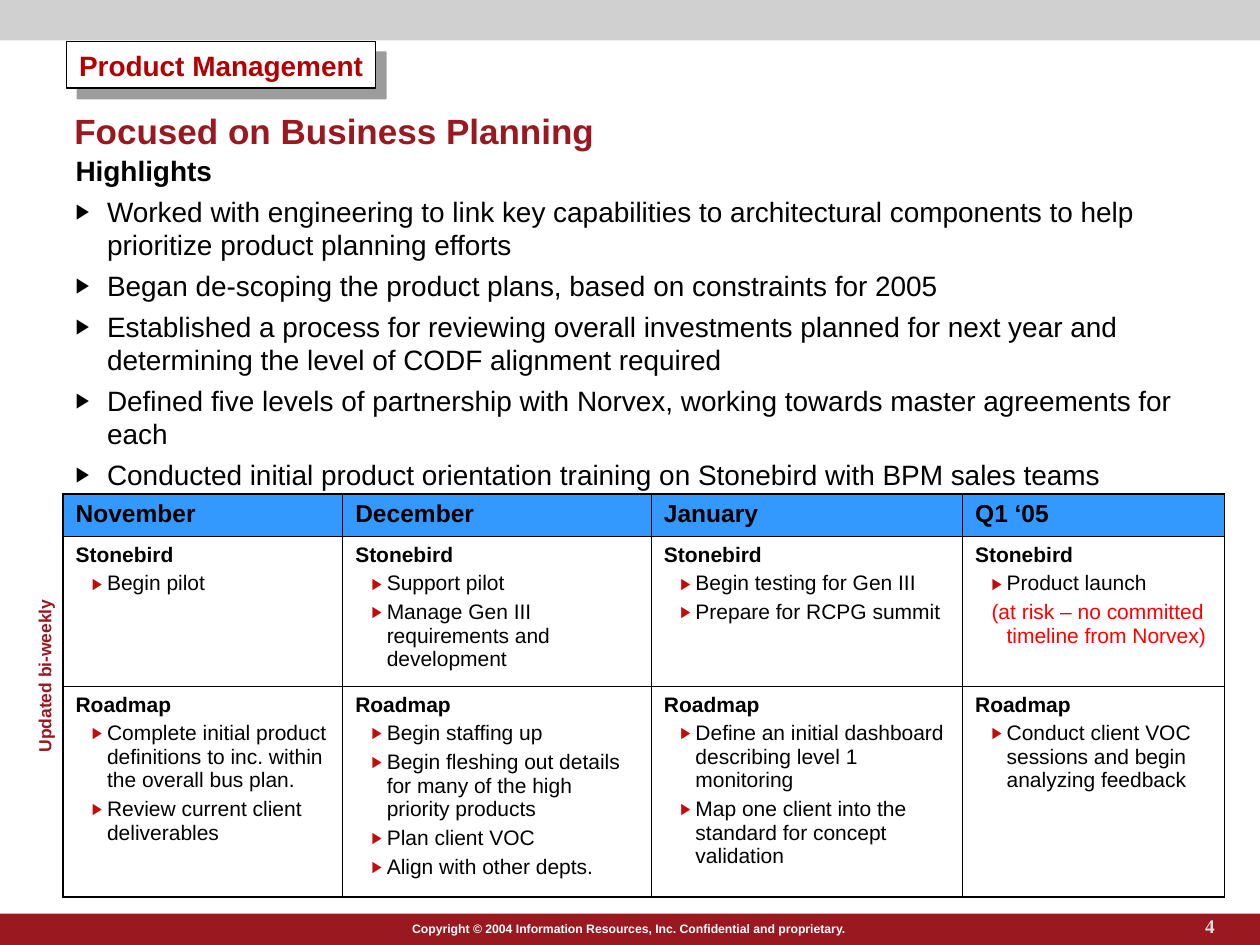
"""Build the product management status slide."""
from lxml.etree import SubElement as Sub
from pptx import Presentation
from pptx.dml.color import RGBColor as RGB
from pptx.enum.shapes import MSO_SHAPE as Shape
from pptx.enum.text import MSO_ANCHOR as Anchor, MSO_AUTO_SIZE as Fit, PP_ALIGN as Align
from pptx.oxml.ns import qn
from pptx.util import Inches, Pt

COLS, ROWS = 100, 75
UNIT = Inches(0.1)
HUES = {
    "white": "FFFFFF", "black": "000000", "wine": "9A1820", "band": "D0D0D0",
    "tag": "B30000", "head": "3399FF", "mark": "C00D0C", "risk": "FF0000",
    "shade": "3A3A3A", "page": "DDDDDD",
}
POINTS = [
    "Worked with engineering to link key capabilities to architectural components to help prioritize product planning efforts",
    "Began de-scoping the product plans, based on constraints for 2005",
    "Established a process for reviewing overall investments planned for next year and determining the level of CODF alignment required",
    "Defined five levels of partnership with Norvex, working towards master agreements for each",
    "Conducted initial product orientation training on Stonebird with BPM sales teams",
]
MONTHS = ["November", "December", "January", "Q1 ‘05"]
RISK = "(at risk – no committed timeline from Norvex)"
PLANS = {
    "Stonebird": [
        ["Begin pilot"],
        ["Support pilot", "Manage Gen III requirements and development"],
        ["Begin testing for Gen III", "Prepare for RCPG summit"],
        ["Product launch", RISK],
    ],
    "Roadmap": [
        ["Complete initial product definitions to inc. within the overall bus plan.",
         "Review current client deliverables"],
        ["Begin staffing up",
         "Begin fleshing out details for many of the high priority products",
         "Plan client VOC", "Align with other depts."],
        ["Define an initial dashboard describing level 1 monitoring",
         "Map one client into the standard for concept validation"],
        ["Conduct client VOC sessions and begin analyzing feedback"],
    ],
}
WIDTHS = [22.2, 24.5, 24.7, 20.8]
HEIGHTS = [3.4, 11.9, 16.7]


def grid(*spans):
    """Turn grid columns and rows into lengths."""
    return [round(span * UNIT) for span in spans]


def move(shape, box):
    """Place a shape on the grid."""
    shape.left, shape.top, shape.width, shape.height = grid(*box)


def style(para, text, size, hue="black", bold=False, face="Arial", align=Align.LEFT):
    """Write a paragraph and set its font."""
    para.text = text
    para.alignment = align
    font = para.font
    font.name, font.size, font.bold = face, Pt(size), bold
    font.color.rgb = RGB.from_string(HUES[hue])


def indent(para, hang, mark=None):
    """Give a paragraph a hanging indent and maybe a bullet."""
    props = para._p.get_or_add_pPr()
    props.set("marL", str(Inches(0.25)))
    props.set("indent", str(-Inches(hang)))
    if mark is None:
        Sub(props, qn("a:buNone"))
        return
    Sub(Sub(props, qn("a:buClr")), qn("a:srgbClr"), val=HUES[mark])
    Sub(props, qn("a:buSzPct"), val="75000")
    Sub(props, qn("a:buFont"), typeface="Arial")
    Sub(props, qn("a:buChar"), char="▶")


def block(slide, box, hue, line=None):
    """Add a plain filled rectangle."""
    shape = slide.shapes.add_shape(Shape.RECTANGLE, *grid(*box))
    shape.shadow.inherit = False
    shape.fill.solid()
    shape.fill.fore_color.rgb = RGB.from_string(HUES[hue])
    if line:
        shape.line.color.rgb = RGB.from_string(HUES[line])
        shape.line.width = Pt(0.75)
    else:
        shape.line.fill.background()
    return shape


def label(slide, box, *args, wrap=True, turn=0, **more):
    """Add a one-line text box."""
    shape = slide.shapes.add_textbox(*grid(*box))
    shape.rotation = turn
    shape.text_frame.word_wrap = wrap
    style(shape.text_frame.paragraphs[0], *args, **more)


def badge(slide, box, text):
    """Add the framed section tag with its hard shadow."""
    shape = block(slide, box, "white", "black")
    shape.text_frame.word_wrap = False
    style(shape.text_frame.paragraphs[0], text, 16, "tag", True)
    effects = shape._element.spPr.find(qn("a:effectLst"))
    shade = Sub(effects, qn("a:outerShdw"), dist=str(Pt(8.5)), dir="2700000",
                algn="ctr", rotWithShape="0")
    tint = Sub(shade, qn("a:srgbClr"), val=HUES["shade"])
    Sub(tint, qn("a:alpha"), val="50000")


def title(slide, box, text):
    """Fill the title placeholder."""
    shape = slide.shapes.title
    move(shape, box)
    shape.text_frame.vertical_anchor = Anchor.BOTTOM
    shape.text_frame.auto_size = Fit.NONE
    style(shape.text_frame.paragraphs[0], text, 20, "wine", True)


def body(slide, box, head, points):
    """Fill the body placeholder with a heading and bullets."""
    shape = slide.placeholders[1]
    move(shape, box)
    frame = shape.text_frame
    frame.auto_size = Fit.NONE
    for row, text in enumerate([head, *points]):
        para = frame.add_paragraph() if row else frame.paragraphs[0]
        indent(para, 0.25, "black" if row else None)
        para.space_before = Pt(4 if row else 0)
        para.line_spacing = 1.0
        style(para, text, 16, bold=not row)


def edge(cell, row, col):
    """Draw thick outer and thin inner cell borders."""
    outer = {"L": col == 0, "R": col == len(WIDTHS) - 1,
             "T": row == 0, "B": row == len(HEIGHTS) - 1}
    props = cell._tc.get_or_add_tcPr()
    for side, thick in outer.items():
        line = Sub(props, qn(f"a:ln{side}"), w=str(Pt(1.08 if thick else 0.45)))
        Sub(Sub(line, qn("a:solidFill")), qn("a:srgbClr"), val=HUES["black"])


def fill(cell, head, tasks):
    """Write a plan cell: a heading and its tasks."""
    frame = cell.text_frame
    style(frame.paragraphs[0], head, 12, bold=True)
    for task in tasks:
        para = frame.add_paragraph()
        para.level = 1
        late = task == RISK
        indent(para, 0.12, None if late else "mark")
        para.space_before = Pt(3)
        style(para, task, 12, "risk" if late else "black")


def plan(slide, left, top):
    """Add the table of plans by month."""
    box = grid(left, top, sum(WIDTHS), sum(HEIGHTS))
    table = slide.shapes.add_table(len(HEIGHTS), len(WIDTHS), *box).table
    table.first_row = table.horz_banding = False
    for col, width in zip(table.columns, grid(*WIDTHS)):
        col.width = width
    for row, height in zip(table.rows, grid(*HEIGHTS)):
        row.height = height
    for col, month in enumerate(MONTHS):
        style(table.cell(0, col).text_frame.paragraphs[0], month, 14, bold=True)
        for row, (head, lists) in enumerate(PLANS.items(), 1):
            fill(table.cell(row, col), head, lists[col])
        for row in range(len(HEIGHTS)):
            cell = table.cell(row, col)
            edge(cell, row, col)
            cell.fill.solid()
            cell.fill.fore_color.rgb = RGB.from_string(HUES["white" if row else "head"])


def main():
    """Build and save the slide."""
    deck = Presentation()
    deck.slide_width, deck.slide_height = grid(COLS, ROWS)
    slide = deck.slides.add_slide(deck.slide_layouts[1])
    block(slide, (0, ROWS - 2.5, COLS, 2.5), "wine")
    block(slide, (0, 0, COLS, 3.2), "band")
    label(slide, (24.9, 72.6, 50, 2.2),
          "Copyright © 2004 Information Resources, Inc. Confidential and proprietary.",
          7, "white", True, align=Align.CENTER)
    title(slide, (4.9, 7.5, 91.9, 5), "Focused on Business Planning")
    badge(slide, (5.3, 3.3, 24.5, 3.7), "Product Management")
    body(slide, (5, 11.7, 92.2, 28.3), "Highlights", POINTS)
    plan(slide, 5, 39.2)
    label(slide, (-3.7, 52.1, 14.5, 2.7), "Updated bi-weekly", 10, "wine", True,
          wrap=False, turn=270)
    label(slide, (93.5, 72.1, 3.9, 2.9), "4", 11, "page", True,
          face="Times New Roman", align=Align.RIGHT)
    deck.save("out.pptx")


if __name__ == "__main__":
    main()
